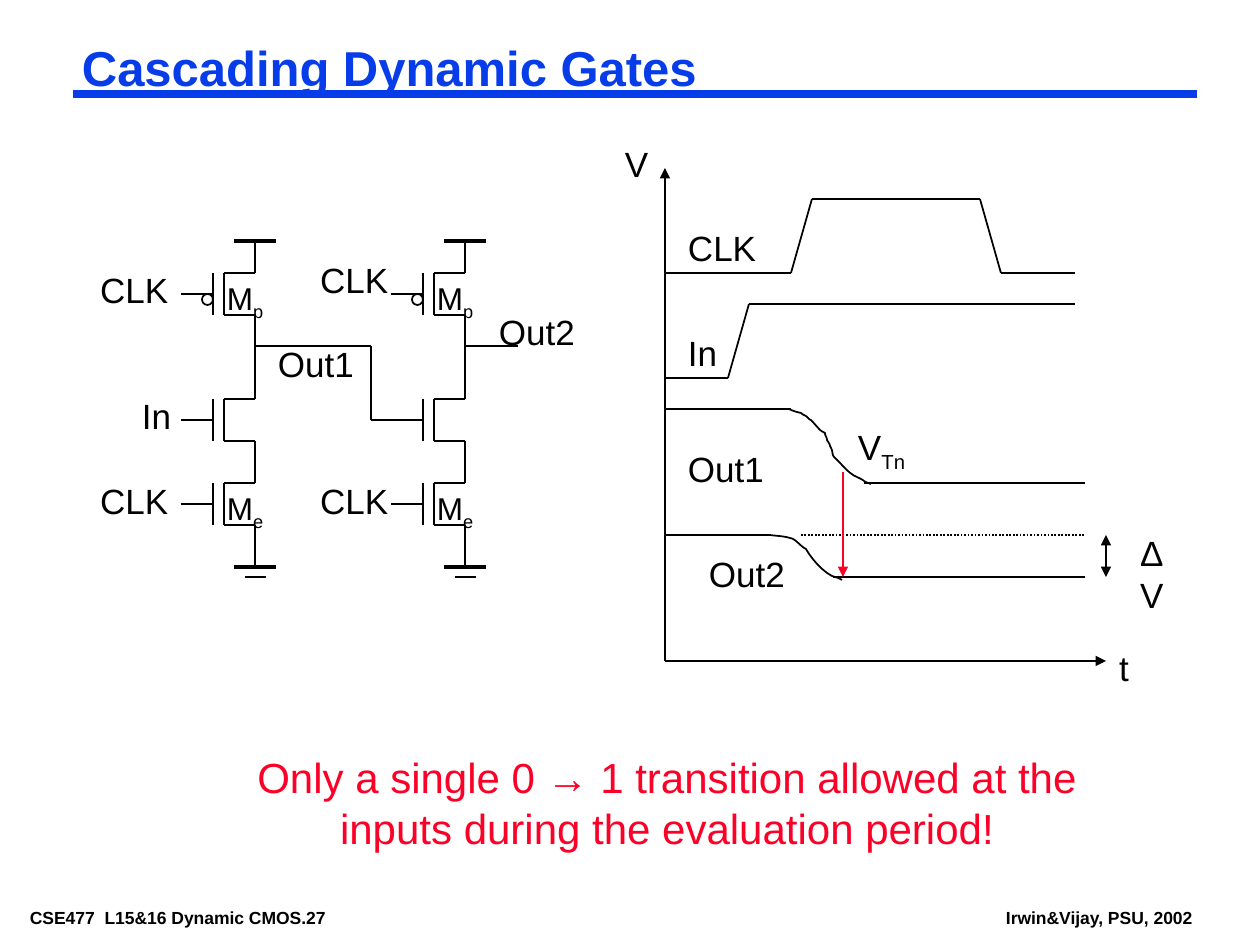
from dataclasses import dataclass

from lxml.etree import SubElement
from pptx import Presentation
from pptx.dml.color import RGBColor
from pptx.enum.dml import MSO_LINE
from pptx.enum.shapes import MSO_CONNECTOR, MSO_SHAPE
from pptx.enum.text import PP_ALIGN
from pptx.oxml.ns import qn
from pptx.util import Emu, Pt


@dataclass(frozen=True)
class Theme:
    font: str = "Arial"
    ink: str = "000000"
    blue: str = "063DE8"
    red: str = "FC0128"
    title: int = 28
    message: int = 24
    label: int = 20
    device: int = 18
    footer: int = 10
    thin: float = 1
    rail: float = 2.25
    rule: float = 4.5


THEME = Theme()
SCALE = 914400 / 126
WIDTH, HEIGHT = 1260, 945
LABEL_HEIGHT = 55
LABEL_WIDTHS = {"CLK": 93, "In": 54, "Out1": 101, "Out2": 101, "V": 48, "t": 34}

TITLE = "Cascading Dynamic Gates"
MESSAGE = "Only a single 0 → 1 transition allowed at the inputs during the evaluation period!"
FOOTERS = [
    ("CSE477  L15&16 Dynamic CMOS.27", 21, 378, True),
    ("Irwin&Vijay, PSU, 2002", 997, 205, False),
]
LABELS = [
    ("CLK", 87, 473), ("CLK", 87, 262), ("Out1", 265, 336), ("In", 129, 388),
    ("CLK", 307, 252), ("CLK", 307, 473), ("Out2", 486, 304),
    ("V", 612, 136), ("t", 1106, 640), ("CLK", 675, 220), ("In", 675, 325),
    ("Out1", 675, 441), ("Out2", 696, 546),
]
STAGES = [255, 465]
PULL_UP, INPUT, FOOT = 273, 399, 483
DEVICES = [("p", PULL_UP), ("e", FOOT)]
GATE_HEIGHT, LEAD = 42, 32
SUPPLY, GROUND = 241, 567

OUTPUT_WIRES = [
    [(255, 346), (371, 346), (371, 420), (392, 420)],
    [(465, 346), (518, 346)],
]
WAVES = [
    [(665, 273), (791, 273), (812, 199), (980, 199), (1001, 273), (1075, 273)],
    [(665, 378), (728, 378), (749, 304), (1075, 304)],
    [(665, 409), (791, 409)],
    [(864, 483), (1085, 483)],
    [(665, 535), (770, 535)],
    [(833, 577), (1085, 577)],
]
FALLS = [
    [(789, 409), (793, 411), (796, 412), (801, 413), (803, 415), (806, 416), (806, 416),
     (815, 425), (805, 413), (820, 430), (821, 431), (825, 433), (825, 433),
     (825, 436), (827, 437), (827, 440), (828, 442), (830, 444), (830, 446),
     (833, 450), (832, 455), (834, 457), (843, 465), (848, 474), (859, 478),
     (861, 479), (863, 480), (864, 481), (867, 483), (871, 484), (871, 484)],
    [(770, 535), (776, 536), (784, 536), (790, 538), (795, 538), (801, 547), (806, 549),
     (811, 558), (822, 571), (832, 576), (835, 577), (839, 578), (842, 580)],
]
ARROWS = [
    ((665, 661), (665, 168), THEME.ink, ["tailEnd"]),
    ((665, 661), (1106, 661), THEME.ink, ["tailEnd"]),
    ((1106, 535), (1106, 577), THEME.ink, ["headEnd", "tailEnd"]),
    ((843, 472), (843, 577), THEME.red, ["tailEnd"]),
]


def px(value):
    return Emu(round(value * SCALE))


def style_line(line, color=THEME.ink, width=THEME.thin):
    line.color.rgb = RGBColor.from_string(color)
    line.width = Pt(width)


def add_line(page, start, end, color=THEME.ink, width=THEME.thin, ends=(), dash=None):
    wire = page.shapes.add_connector(
        MSO_CONNECTOR.STRAIGHT, *(px(value) for value in (*start, *end)))
    style_line(wire.line, color, width)
    if dash:
        wire.line.dash_style = dash
    for end_name in ends:
        SubElement(wire.line._get_or_add_ln(), qn(f"a:{end_name}"), type="triangle")
    SubElement(wire._element.spPr, qn("a:effectLst"))


def add_wire(page, points):
    for start, end in zip(points, points[1:]):
        add_line(page, start, end)


def add_text(page, text, area, size, color=THEME.ink, sub="", bold=False,
             wrap=False, inset=(13, 6), align=PP_ALIGN.LEFT, spacing=None):
    box = page.shapes.add_textbox(*(px(value) for value in area))
    frame = box.text_frame
    frame.word_wrap = wrap
    frame.margin_left = px(inset[0])
    frame.margin_right = px(inset[0] if wrap else 0)
    frame.margin_top = frame.margin_bottom = px(inset[1])
    frame.text = text
    para = frame.paragraphs[0]
    para.alignment = align
    para.line_spacing = spacing
    if sub:
        span = para.add_run()
        span.text = sub
        span._r.get_or_add_rPr().set("baseline", "-25000")
    for span in para.runs:
        span.font.name = THEME.font
        span.font.size = Pt(size)
        span.font.bold = bold
        span.font.color.rgb = RGBColor.from_string(color)


def add_transistor(page, drain, top):
    channel, plate = drain - 31, drain - 42
    bottom, middle = top + GATE_HEIGHT, top + GATE_HEIGHT // 2
    add_wire(page, [(drain, top - LEAD), (drain, top), (channel, top),
                    (channel, bottom), (drain, bottom), (drain, bottom + LEAD)])
    add_line(page, (plate, top), (plate, bottom))
    add_line(page, (plate - LEAD, middle), (plate, middle))


def add_stage(page, drain):
    for top in (PULL_UP, INPUT, FOOT):
        add_transistor(page, drain, top)
    bubble = page.shapes.add_shape(
        MSO_SHAPE.OVAL, px(drain - 53), px(PULL_UP + 21), px(11), px(11))
    bubble.shadow.inherit = False
    bubble.fill.background()
    style_line(bubble.line)
    add_line(page, (drain, 336), (drain, 378))
    add_line(page, (drain, 536), (drain, GROUND))
    for level in (SUPPLY, GROUND):
        add_line(page, (drain - 21, level), (drain + 21, level), width=THEME.rail)
    add_line(page, (drain - 10, GROUND + 10), (drain + 11, GROUND + 10))
    for sub, top in DEVICES:
        add_text(page, "M", (drain - 41, top, 62, LABEL_HEIGHT), THEME.device, sub=sub)


def bezier_points(knots, steps=6):
    points = [knots[0]]
    for first in range(0, len(knots) - 1, 3):
        controls = knots[first:first + 4]
        for step in range(1, steps + 1):
            t = step / steps
            weights = ((1 - t) ** 3, 3 * t * (1 - t) ** 2, 3 * t * t * (1 - t), t ** 3)
            points.append(tuple(sum(weight * value for weight, value in zip(weights, axis))
                                for axis in zip(*controls)))
    return points


def add_curve(page, knots):
    start, *rest = [(px(x), px(y)) for x, y in bezier_points(knots)]
    builder = page.shapes.build_freeform(*start)
    builder.add_line_segments(rest, close=False)
    curve = builder.convert_to_shape()
    curve.shadow.inherit = False
    curve.fill.background()
    style_line(curve.line)


def main():
    """Build the slide on cascaded dynamic gates and their waveforms."""
    deck = Presentation()
    deck.slide_width, deck.slide_height = px(WIDTH), px(HEIGHT)
    page = deck.slides.add_slide(deck.slide_layouts[6])

    for text, left, width, wrap in FOOTERS:
        add_text(page, text, (left, 903, width, 28), THEME.footer,
                 bold=True, wrap=wrap, inset=(9, 4))
    add_line(page, (73, 94), (1197, 94), THEME.blue, THEME.rule)
    add_text(page, TITLE, (73, 42, 1124, 58), THEME.title, THEME.blue,
             bold=True, wrap=True, inset=(9, 4), spacing=0.87)

    for drain in STAGES:
        add_stage(page, drain)
    for points in OUTPUT_WIRES + WAVES:
        add_wire(page, points)
    for knots in FALLS:
        add_curve(page, knots)
    add_line(page, (801, 535), (1085, 535), dash=MSO_LINE.ROUND_DOT)
    for start, end, color, ends in ARROWS:
        add_line(page, start, end, color, ends=ends)

    for text, left, top in LABELS:
        add_text(page, text, (left, top, LABEL_WIDTHS[text], LABEL_HEIGHT), THEME.label)
    add_text(page, "V", (845, 420, 72, 60), THEME.label, sub="Tn")
    add_text(page, "ΔV", (1127, 525, 69, LABEL_HEIGHT), THEME.label, wrap=True)
    add_text(page, MESSAGE, (210, 746, 914, 113), THEME.message, THEME.red,
             wrap=True, align=PP_ALIGN.CENTER)
    deck.save("out.pptx")


if __name__ == "__main__":
    main()
